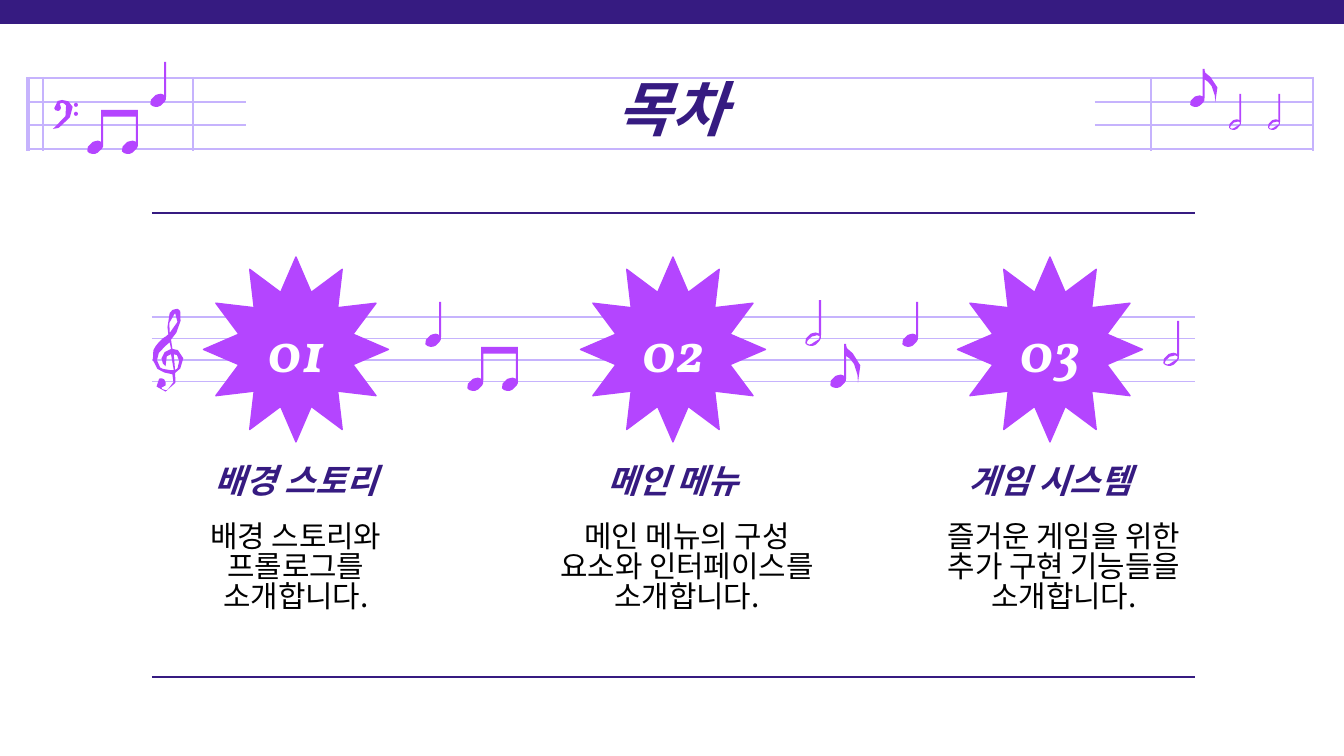
import pptx
import pptx.dml.color
import pptx.enum.shapes
import pptx.enum.text
import pptx.oxml.ns
import pptx.util
from lxml import etree

RGB = pptx.dml.color.RGBColor
ALIGN = pptx.enum.text.PP_ALIGN
ANCHOR = pptx.enum.text.MSO_ANCHOR
SHAPE = pptx.enum.shapes.MSO_SHAPE

INDIGO = RGB(0x36, 0x1B, 0x81)
PURPLE = RGB(0xB4, 0x45, 0xFF)
LILAC = RGB(0xC6, 0xB3, 0xFD)
WHITE = RGB(0xFF, 0xFF, 0xFF)
BLACK = RGB(0, 0, 0)
SANS, SERIF = "Noto Sans CJK KR", "Vollkorn"

TITLE = "목차"
SECTIONS = [
    ("01", "배경 스토리", "배경 스토리와 프롤로그를 소개합니다.", 289),
    ("02", "메인 메뉴", "메인 메뉴의 구성 요소와 인터페이스를 소개합니다.", 317),
    ("03", "게임 시스템", "즐거운 게임을 위한 추가 구현 기능들을 소개합니다.", 317),
]
FIRST_CENTER, COLUMN_STEP, COLUMN_W = 296, 377, 289
STAR, NUMBER_W = 185, 112


def shift(segments, dx, dy):
    return [tuple(v + (dy if i % 2 else dx) for i, v in enumerate(seg)) for seg in segments]


HEAD = [(11.5, 25, 10, 24, 9, 24), (7, 24, 6, 25, 5, 25), (2, 27, 0, 30, 1, 32),
        (2, 33, 3, 34, 5, 34), (6, 34, 8, 34, 9, 33), (10, 32, 11, 31, 12, 30),
        (13, 29, 13, 28, 13, 26)]
NOTE = [(11.5, 0), (11.5, 25)] + HEAD + [(13, 0)]
HOLLOW = [(10, 26), (11, 26, 12, 27, 12, 27), (13, 28, 11, 30, 8, 31), (7, 32, 5, 33, 4, 33),
          (3, 33, 3, 32, 2, 32), (2, 31, 3, 29, 6, 27), (8, 27, 9, 26, 10, 26)]
BEAM = ([(11.5, 0), (11.5, 24)] + shift(HEAD, 0, -1) + [(13, 5), (37.5, 5), (37.5, 24)]
        + shift(HEAD, 26, -1) + [(39, 0)])
FLAG = ([(11.5, 0), (11.5, 24)] + shift(HEAD, 0, -1)
        + [(13, 9), (15, 10, 17, 12, 19, 15), (22, 18, 22, 29, 22, 29),
           (25, 20, 25, 11, 18, 7), (13, 4, 13, 2, 13, 1), (13, 0)])
TREBLE = [
    [(17, 3), (22, 4, 18, 15, 13, 18), (13, 18, 11, 3, 17, 3)],
    [(16, 34), (17, 34, 20, 34, 20, 39), (21, 44, 17, 46, 17, 46)],
    [(13, 25), (14, 30), (10, 31, 8, 33, 7, 37), (7, 38, 8, 40, 8, 41), (9, 42, 9, 42, 10, 43),
     (7, 35, 14, 34, 14, 34), (16, 46), (15, 46, 14, 46, 14, 46), (9, 46, 6, 44, 6, 44),
     (3, 41, 3, 36, 5, 33), (7, 30, 13, 25, 13, 25)],
    [(18, 0), (16, 0, 14, 1, 13, 3), (10, 10, 12, 19, 12, 19), (12, 19, 9, 22, 8, 22),
     (7, 23, 6, 24, 5, 25), (3, 27, 2, 29, 1, 31), (0, 36, 0, 41, 4, 45), (7, 47, 11, 49, 15, 49),
     (16, 50, 17, 60, 12, 60), (11, 61, 11, 61, 10, 61), (7, 61, 7, 59, 7, 59),
     (10, 59, 11, 56, 10, 55), (10, 53, 8, 52, 7, 52), (6, 52, 5, 52, 5, 53),
     (2, 55, 2, 62, 10, 62), (20, 63, 17, 48, 17, 48), (18, 48, 24, 43, 23, 37),
     (22, 30, 16, 30, 15, 30), (14, 23), (16, 21, 20, 16, 21, 9), (23, 1, 19, 0, 19, 0)],
]
DOT = [(17.5, 2), (16.5, 2, 16, 3, 16, 3.5), (16, 4.5, 16.5, 5, 17.5, 5),
       (18.5, 5, 19, 4.5, 19, 3.5), (19, 3, 18.5, 2, 17.5, 2)]
BASS = [
    [(7, 0), (6, 0, 1, 0, 1, 6), (1, 7, 2, 8, 4, 8), (5, 8, 6, 7, 6, 6), (6, 5, 6, 4, 5, 3),
     (5, 3, 6, 2, 7, 2), (8, 2, 9, 3, 10, 4), (12, 7, 10, 16, 0, 21), (4, 21, 5, 20, 7, 18),
     (11, 15, 16, 11, 15, 5), (14, 1, 10, 0, 7, 0)],
    DOT, shift(DOT, 0, 6.5),
]
GLYPHS = {
    "quarter": (13, 34, [NOTE]), "half": (13, 34, [HOLLOW, NOTE]), "beamed": (39, 33, [BEAM]),
    "eighth": (25, 33, [FLAG]), "treble": (25, 63, TREBLE), "bass": (19, 21, BASS),
}
MUSIC = [
    ("treble", 152, 309, 34, 84), ("quarter", 424, 302, 17, 45), ("beamed", 466, 347, 52, 44),
    ("half", 804, 300, 17, 46), ("eighth", 829, 344, 33, 44), ("quarter", 901, 302, 17, 45),
    ("half", 1162, 321, 17, 45), ("beamed", 86, 110, 52, 44), ("quarter", 149, 62, 17, 45),
    ("bass", 53, 100, 25, 29), ("eighth", 1189, 69, 30, 38), ("half", 1228, 94, 13, 36),
    ("half", 1267, 94, 13, 36),
]
HEADER_STAVES = [(28, 1313, 78), (28, 246, 102), (28, 246, 125), (28, 1313, 149),
                 (1095, 1313, 102), (1095, 1313, 125)]
HEADER_BARS = [(43, 1.5), (28, 2.25), (1313, 0.75), (193, 0.75), (1151, 0.75)]
STAFF_TOP, STAFF_GAP = 317, 21.5
LEFT, RIGHT = 152, 1195


def px(n):
    return round(n * 914400 / 134.4)


def line(s, x1, y1, x2, y2, color, width=0.75):
    c = s.shapes.add_connector(pptx.enum.shapes.MSO_CONNECTOR.STRAIGHT,
                               px(x1), px(y1), px(x2), px(y2))
    c.line.color.rgb = color
    c.line.width = pptx.util.Pt(width)
    etree.SubElement(c._element.spPr, pptx.oxml.ns.qn("a:effectLst"))


def paint(sp, color):
    sp.shadow.inherit = False
    sp.fill.solid()
    sp.fill.fore_color.rgb = color
    sp.line.fill.background()
    return sp


def shape(s, kind, x, y, w, h, color):
    return paint(s.shapes.add_shape(kind, px(x), px(y), px(w), px(h)), color)


def flatten(contour, steps=2):
    points = [contour[0]]
    for seg in contour[1:]:
        if len(seg) == 2:
            points.append(seg)
            continue
        poly = [points[-1], seg[:2], seg[2:4], seg[4:]]
        for k in range(1, steps + 1):
            t = k / steps
            weights = ((1 - t) ** 3, 3 * t * (1 - t) ** 2, 3 * t * t * (1 - t), t ** 3)
            points.append(tuple(sum(w * p[a] for w, p in zip(weights, poly)) for a in (0, 1)))
    return points


def glyph(s, name, x, y, w, h):
    grid_w, grid_h, contours = GLYPHS[name]
    fb = None
    for contour in contours:
        points = [(px(x + a * w / grid_w), px(y + b * h / grid_h)) for a, b in flatten(contour)]
        if fb is None:
            fb = s.shapes.build_freeform(*points[0])
        else:
            fb.move_to(*points[0])
        fb.add_line_segments(points[1:], close=True)
    paint(fb.convert_to_shape(), PURPLE)


def write(s, text, x, y, w, h, size=16, font=SANS, color=INDIGO, strong=True,
          anchor=ANCHOR.TOP, spacing=1.0, box=None):
    sp = box or s.shapes.add_textbox(0, 0, 0, 0)
    sp.left, sp.top, sp.width, sp.height = px(x), px(y), px(w), px(h)
    tf = sp.text_frame
    tf.word_wrap = True
    tf.auto_size = pptx.enum.text.MSO_AUTO_SIZE.NONE
    tf.vertical_anchor = anchor
    tf.margin_left = tf.margin_right = tf.margin_top = tf.margin_bottom = px(13)
    p = tf.paragraphs[0]
    p.alignment = ALIGN.CENTER
    p.line_spacing = spacing
    r = p.add_run()
    r.text = text
    r.font.name = font
    r.font.size = pptx.util.Pt(size)
    r.font.bold = r.font.italic = strong
    r.font.color.rgb = color
    ea = etree.SubElement(r.font._element, pptx.oxml.ns.qn("a:ea"))
    ea.set("typeface", font)


def main():
    prs = pptx.Presentation()
    prs.slide_width, prs.slide_height = px(1344), px(756)
    s = prs.slides.add_slide(prs.slide_layouts[5])

    for x1, x2, y in HEADER_STAVES:
        line(s, x1, y, x2, y, LILAC)
    for x, width in HEADER_BARS:
        line(s, x, 77, x, 151, LILAC, width)
    shape(s, SHAPE.RECTANGLE, 0, 0, 1344, 24, INDIGO)
    for i in range(4):
        y = STAFF_TOP + i * STAFF_GAP
        line(s, LEFT, y, RIGHT, y, LILAC)
    for item in MUSIC:
        glyph(s, *item)

    for i, (number, heading, detail, detail_w) in enumerate(SECTIONS):
        center = FIRST_CENTER + i * COLUMN_STEP
        left = center - COLUMN_W / 2
        star = shape(s, SHAPE.STAR_12_POINT, center - STAR / 2, 257, STAR, STAR, PURPLE)
        star.adjustments[0] = 0.319
        star.line.color.rgb = PURPLE
        star.line.width = pptx.util.Pt(0.75)
        write(s, number, center - NUMBER_W / 2, 319, NUMBER_W, 62, size=30, font=SERIF,
              color=WHITE, anchor=ANCHOR.MIDDLE)
        write(s, heading, left, 454, COLUMN_W, 59, size=18, anchor=ANCHOR.BOTTOM, spacing=0.83)
        write(s, detail, left, 511, detail_w, 159, color=BLACK, strong=False, spacing=0.83)

    write(s, TITLE, 105, 66, 1134, 85, size=32, spacing=0.92, box=s.shapes.title)
    for y in (213, 677):
        line(s, LEFT, y, RIGHT, y, INDIGO)
    prs.save("out.pptx")


if __name__ == "__main__":
    main()
